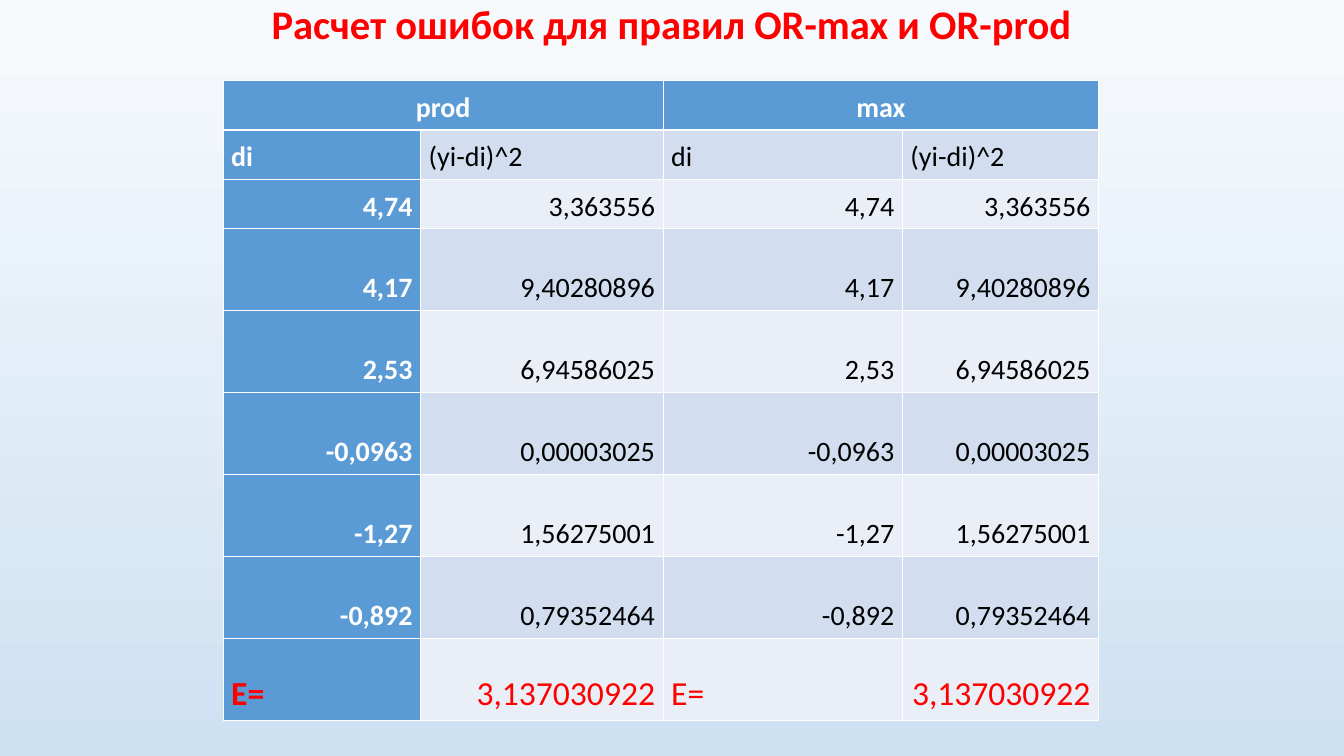
import pptx
import pptx.dml.color
import pptx.enum.text
import pptx.oxml
import pptx.oxml.ns
import pptx.util

ALIGN = pptx.enum.text.PP_ALIGN
ANCHOR = pptx.enum.text.MSO_ANCHOR
BLUE, LIGHT, PALE = "5B9BD5", "D2DEEF", "EAEFF7"
RED, WHITE, BLACK = "FF0000", "FFFFFF", "000000"

SAMPLES = [
    ("4,74", "3,363556"),
    ("4,17", "9,40280896"),
    ("2,53", "6,94586025"),
    ("-0,0963", "0,00003025"),
    ("-1,27", "1,56275001"),
    ("-0,892", "0,79352464"),
]
LABELS = ("di", "(yi-di)^2")
TOTAL = ("E=", "3,137030922")


def color(code):
    return pptx.dml.color.RGBColor.from_string(code)


class ErrorSlide:
    font = "Calibri"

    def __init__(self, deck):
        self.width, self.height = deck.slide_width, deck.slide_height
        self.slide = deck.slides.add_slide(deck.slide_layouts[5])

    def x(self, percent):
        return round(self.width * percent / 100)

    def y(self, percent):
        return round(self.height * percent / 100)

    def background(self, top, bottom):
        fill = self.slide.background.fill
        fill.gradient()
        fill.gradient_angle = 270
        for stop, shade in zip(fill.gradient_stops, (top, bottom)):
            stop.color.rgb = color(shade)

    def set_text(self, frame, text, size, shade, bold, align, spacing):
        frame.text = text
        paragraph = frame.paragraphs[0]
        paragraph.alignment = align
        paragraph.line_spacing = spacing
        paragraph.font.name = self.font
        paragraph.font.size = pptx.util.Pt(size)
        paragraph.font.bold = bold
        paragraph.font.color.rgb = color(shade)

    def title(self, text, left, top, width, height):
        heading = self.slide.shapes.title
        heading.left, heading.top = self.x(left), self.y(top)
        heading.width, heading.height = self.x(width), self.y(height)
        frame = heading.text_frame
        frame.word_wrap = True
        frame.auto_size = pptx.enum.text.MSO_AUTO_SIZE.NONE
        frame.vertical_anchor = ANCHOR.MIDDLE
        self.set_text(frame, text, 29, RED, True, ALIGN.CENTER, 0.9)

    def table(self, left, top, columns, rows):
        errors = self.slide.shapes.add_table(
            len(rows), len(columns), self.x(left), self.y(top),
            self.x(sum(columns)), self.y(sum(rows))).table
        for column, share in zip(errors.columns, columns):
            column.width = self.x(share)
        for row, share in zip(errors.rows, rows):
            row.height = self.y(share)
        return errors

    def cell(self, cell, text, fill, shade, bold, align, size=20, top=0.45, bottom=0.45):
        cell.fill.solid()
        cell.fill.fore_color.rgb = color(fill)
        cell.margin_left = cell.margin_right = pptx.util.Inches(0.08)
        cell.vertical_anchor = ANCHOR.BOTTOM
        self.set_text(cell.text_frame, text, size, shade, bold, align, 1.15)
        borders = {"L": 0.45, "R": 0.45, "T": top, "B": bottom}
        properties = cell._tc.get_or_add_tcPr()
        for place, (side, points) in enumerate(borders.items()):
            properties.insert(place, pptx.oxml.parse_xml(
                f'<a:ln{side} {pptx.oxml.ns.nsdecls("a")} w="{pptx.util.Pt(points)}">'
                f'<a:solidFill><a:srgbClr val="{WHITE}"/></a:solidFill></a:ln{side}>'))


def main():
    deck = pptx.Presentation()
    deck.slide_width = pptx.util.Inches(13.34)
    deck.slide_height = pptx.util.Inches(7.5)
    page = ErrorSlide(deck)
    page.background("F7FAFD", "CEE1F2")
    page.title("Расчет ошибок для правил OR-max и OR-prod", 6.9, 0, 86.2, 6.9)

    body = [LABELS, *SAMPLES, TOTAL]
    errors = page.table(16.6, 10.6, [14.7, 18.05, 17.8, 14.6], [6.5] * 3 + [10.83] * 6)
    for index, rule in enumerate(("prod", "max")):
        first, last = errors.cell(0, 2 * index), errors.cell(0, 2 * index + 1)
        for half, text in ((first, rule), (last, "")):
            page.cell(half, text, BLUE, WHITE, True, ALIGN.CENTER, bottom=1.47)
        first.merge(last)
    for r, pair in enumerate(body, 1):
        for c, text in enumerate(pair * 2):
            lead = c == 0
            total = pair is TOTAL
            is_label = pair is LABELS or text == TOTAL[0]
            page.cell(
                errors.cell(r, c), text,
                BLUE if lead else LIGHT if r % 2 else PALE,
                RED if total else WHITE if lead else BLACK,
                lead,
                ALIGN.LEFT if is_label else ALIGN.RIGHT,
                size=24 if total else 20,
                top=1.47 if r == 1 else 0.45)
    deck.save("out.pptx")


if __name__ == "__main__":
    main()
